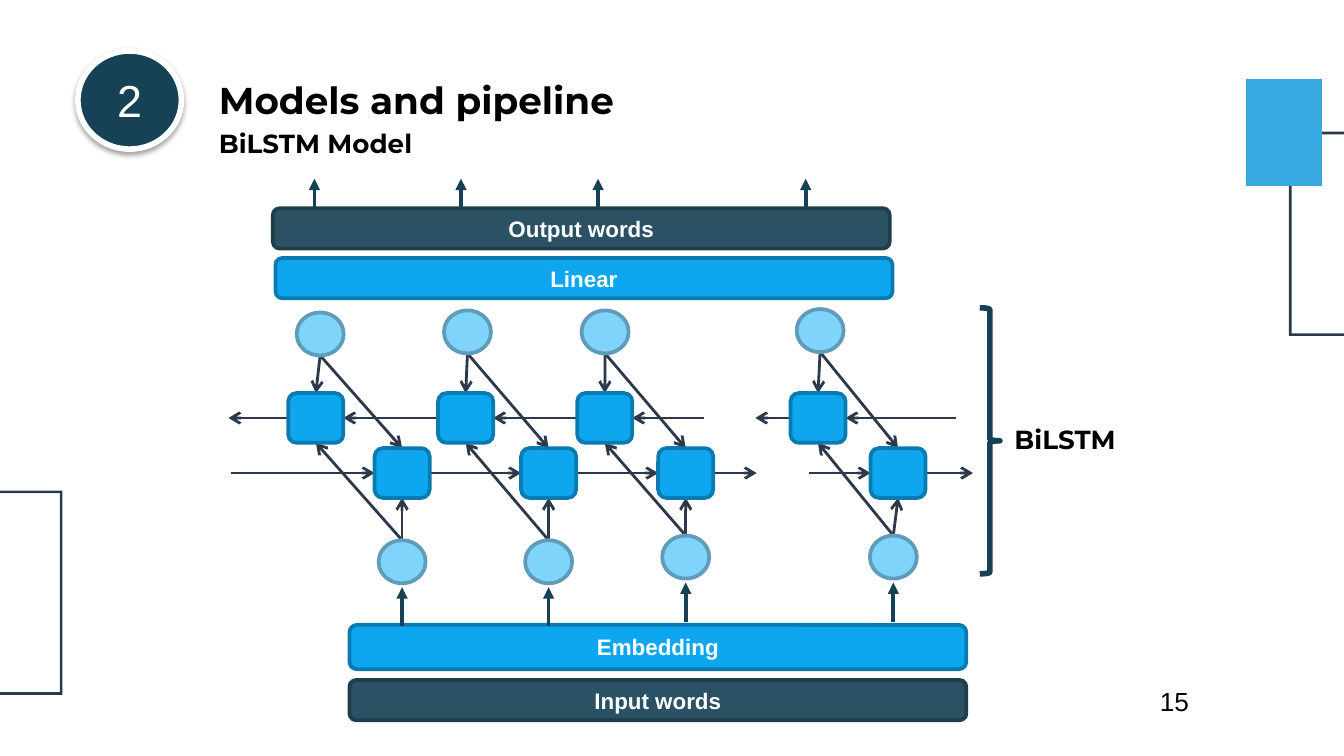
from collections import namedtuple

from lxml import etree
from pptx import Presentation
from pptx.dml.color import RGBColor
from pptx.enum.shapes import MSO_CONNECTOR, MSO_SHAPE
from pptx.enum.text import MSO_ANCHOR, MSO_AUTO_SIZE, PP_ALIGN
from pptx.oxml.ns import qn
from pptx.util import Inches, Pt

ELLIPSE, ROUNDED = MSO_SHAPE.OVAL, MSO_SHAPE.ROUNDED_RECTANGLE
BRACE, STRAIGHT = MSO_SHAPE.RIGHT_BRACE, MSO_CONNECTOR.STRAIGHT
LEFT, CENTER = PP_ALIGN.LEFT, PP_ALIGN.CENTER
TOP, MIDDLE = MSO_ANCHOR.TOP, MSO_ANCHOR.MIDDLE

# 16:9 slide on a grid of 100 columns by 56.25 rows
SLIDE_W = Inches(10)
SLIDE_H = SLIDE_W * 9 // 16
COL, ROW = SLIDE_W / 100, SLIDE_H / 56.25

NAVY, INK, SKY, WHITE, BLACK = "174155", "2B394A", "35A9E0", "FFFFFF", "000000"
BLUE_STYLE = {"fill": "0EA6EE", "line": "0A7BB0"}
DARK_STYLE = {"fill": "2B5264", "line": "203D4A"}
NODE_STYLE = {"fill": "80D3FA", "line": "5F9CB9"}

Box = namedtuple("Box", "x y w h")
Step = namedtuple("Step", "offset backward forward top_node top_y bottom_y")

# Centres of one time step's parts, within the diagram
CELL_W, CELL_H = 4.1, 3.7
NODE_W, NODE_H = 3.5, 3.2
BACKWARD_Y, FORWARD_Y = 18.1, 22.2
STEPS = [
    Step(0, 6.5, 12.92, 6.82, 11.85, 28.8),
    Step(10.9, 17.65, 23.82, 17.78, 11.7, 28.8),
    Step(21.1, 28, 34.02, 28.02, 11.7, 28.45),
    Step(36.55, 43.87, 49.82, 44.02, 11.6, 28.45),
]

prs = Presentation()
prs.slide_width, prs.slide_height = SLIDE_W, SLIDE_H
slide = prs.slides.add_slide(prs.slide_layouts[6])


def color(hex_code):
    return RGBColor.from_string(hex_code)


def emu(x, y):
    return round(x * COL), round(y * ROW)


def within(box, x, y, w=0, h=0):
    return Box(box.x + x, box.y + y, w, h)


def write(frame, text, size=12, font="Arial", ink=WHITE, bold=False,
          align=LEFT, anchor=TOP):
    frame.vertical_anchor = anchor
    paragraph = frame.paragraphs[0]
    paragraph.alignment = align
    run = paragraph.add_run()
    run.text = text
    run.font.size, run.font.name, run.font.bold = Pt(size), font, bold
    run.font.color.rgb = color(ink)


def label(box, text, wrap=True, indent=1, **text_format):
    holder = slide.shapes.add_textbox(*emu(box.x, box.y), *emu(box.w, box.h))
    frame = holder.text_frame
    frame.word_wrap = wrap
    frame.auto_size = MSO_AUTO_SIZE.SHAPE_TO_FIT_TEXT
    frame.margin_left = round(indent * COL)
    write(frame, text, **text_format)


def preset(kind, box, fill=None, line=INK, weight=2):
    part = slide.shapes.add_shape(kind, *emu(box.x, box.y), *emu(box.w, box.h))
    part.shadow.inherit = False
    if fill:
        part.fill.solid()
        part.fill.fore_color.rgb = color(fill)
    else:
        part.fill.background()
    part.line.color.rgb = color(line)
    part.line.width = Pt(weight)
    return part


def centered(kind, x, y, w, h, style):
    preset(kind, Box(x - w / 2, y - h / 2, w, h), **style)


def arrow(box, start, end, ink=INK, weight=1.5, head="arrow"):
    begin, finish = within(box, *start), within(box, *end)
    link = slide.shapes.add_connector(
        STRAIGHT, *emu(begin.x, begin.y), *emu(finish.x, finish.y))
    link.line.color.rgb = color(ink)
    link.line.width = Pt(weight)
    properties = link._element.spPr
    etree.SubElement(properties.find(qn("a:ln")), qn("a:tailEnd"), type=head)
    etree.SubElement(properties, qn("a:effectLst"))


def outline(box, fill, border=0):
    """Filled rectangle; with a border, its inside is left open."""
    builder = None
    for inset in ([0, border] if border else [0]):
        left, top = box.x + inset, box.y + inset
        right, bottom = box.x + box.w - inset, box.y + box.h - inset
        if builder is None:
            builder = slide.shapes.build_freeform(*emu(left, top))
        else:
            builder.move_to(*emu(left, top))
        builder.add_line_segments(
            [emu(right, top), emu(right, bottom), emu(left, bottom)], close=True)
    part = builder.convert_to_shape()
    part.shadow.inherit = False
    part.fill.solid()
    part.fill.fore_color.rgb = color(fill)
    part.line.fill.background()


def decoration(box):
    # Open frames run over both edges of the slide
    outline(within(box, 95.9, 9.8, 13, 15.2), INK, border=0.2)
    outline(within(box, 92.7, 5.9, 5.65, 7.9), SKY)
    outline(within(box, -8.4, 36.5, 13.05, 15.2), INK, border=0.2)


def heading(box):
    # Section number badge with its soft shadow
    badge = preset(ELLIPSE, within(box, 0, 0, 7.7, 7.3), NAVY, WHITE, 3)
    effects = badge._element.spPr.find(qn("a:effectLst"))
    shadow = etree.SubElement(
        effects, qn("a:outerShdw"), blurRad=str(Pt(3.1)), dist=str(Pt(1.6)),
        dir="5400000", algn="t", rotWithShape="0")
    tint = etree.SubElement(shadow, qn("a:srgbClr"), val=BLACK)
    etree.SubElement(tint, qn("a:alpha"), val="38000")
    write(badge.text_frame, "2", size=24, align=CENTER, anchor=MIDDLE)
    # Title and subtitle
    title_format = {"font": "Montserrat", "ink": BLACK, "bold": True}
    label(within(box, 9.5, 1.45, box.w - 9.5, 4.4), "Models and pipeline",
          size=20, **title_format)
    label(within(box, 9.5, 5.2, 16.6, 3.4), "BiLSTM Model", wrap=False,
          size=14, **title_format)


def layers(box):
    for text, x, y, h, style in [
        ("Output words", 3.3, 2.5, 3, DARK_STYLE),
        ("Linear", 3.5, 6.2, 3, BLUE_STYLE),
        ("Embedding", 9, 33.5, 3.3, BLUE_STYLE),
        ("Input words", 9, 37.6, 3, DARK_STYLE),
    ]:
        bar = preset(ROUNDED, within(box, x, y, 45.9, h), **style)
        write(bar.text_frame, text, bold=True, align=CENTER, anchor=MIDDLE)
    # Arrows out of the output layer and out of the embedding
    for step in STEPS:
        out_x, in_x = 6.4 + step.offset, 12.92 + step.offset
        in_y = step.bottom_y + 1.9
        for x, start, end in [(out_x, 2.5, 0.3), (in_x, in_y + 2.9, in_y)]:
            arrow(box, (x, start), (x, end), NAVY, 2, "triangle")


def recurrent_network(box):
    half_w, half_h, node_half = CELL_W / 2, CELL_H / 2, NODE_H / 2
    # Links between time steps, with a gap before the last one
    first, second, third, last = STEPS
    backward = [(first.backward - half_w, 0)]
    forward = [(0.2, first.forward - half_w)]
    for here, following in [(first, second), (second, third)]:
        backward.append((following.backward - half_w, here.backward + half_w))
        forward.append((here.forward + half_w, following.forward - half_w))
    backward += [(35.4, third.backward + half_w),
                 (last.backward - half_w, 39.2),
                 (54.1, last.backward + half_w)]
    forward += [(third.forward + half_w, 39.3),
                (43.2, last.forward - half_w),
                (last.forward + half_w, 55.4)]
    for y, spans in [(BACKWARD_Y, backward), (FORWARD_Y, forward)]:
        for start, end in spans:
            arrow(box, (start, y), (end, y))
    # Each node feeds one cell of both directions
    for step in STEPS:
        bottom_node = 12.92 + step.offset
        cells = [(step.backward, BACKWARD_Y), (step.forward, FORWARD_Y)]
        for x, y, side in [(step.top_node, step.top_y, 1),
                           (bottom_node, step.bottom_y, -1)]:
            for cell_x, cell_y in cells:
                arrow(box, (x, y + side * node_half),
                      (cell_x, cell_y - side * half_h))
            node = within(box, x, y)
            centered(ELLIPSE, node.x, node.y, NODE_W, NODE_H, NODE_STYLE)
        for x, y in cells:
            cell = within(box, x, y)
            centered(ROUNDED, cell.x, cell.y, CELL_W, CELL_H, BLUE_STYLE)
    # Brace around the network
    preset(BRACE, within(box, 55.9, 9.9, 1.5, 19.8), line="154055", weight=3)
    label(within(box, 57.5, 18, 9.6, 3.4), "BiLSTM", wrap=False, size=14,
          font="Montserrat", ink=BLACK, bold=True)


diagram = Box(17, 13, 67.1, 40.6)
label(Box(83.8, 50.5, 10.8, 4.4), "15", indent=2.5, size=14, ink=BLACK)
decoration(Box(0, 0, 100, 56.25))
heading(Box(5.8, 3.8, 53.2, 8.6))
layers(diagram)
recurrent_network(diagram)
prs.save("out.pptx")
